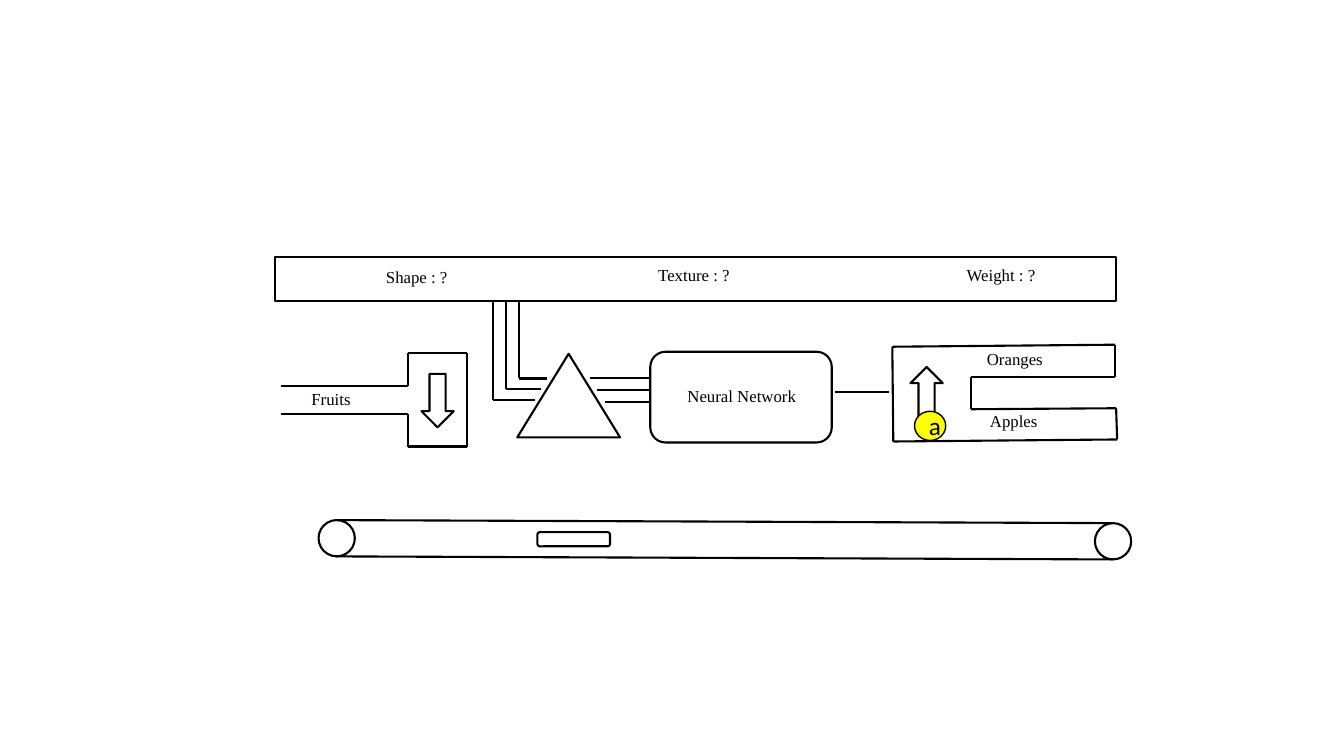
from dataclasses import dataclass

from lxml.etree import SubElement
from pptx import Presentation
from pptx.dml.color import RGBColor
from pptx.enum.shapes import MSO_CONNECTOR, MSO_SHAPE
from pptx.enum.text import MSO_ANCHOR, MSO_AUTO_SIZE, PP_ALIGN
from pptx.oxml.ns import qn
from pptx.shapes.autoshape import Shape
from pptx.slide import Slide
from pptx.text.text import TextFrame
from pptx.util import Inches, Length, Pt

CELLS_PER_INCH = 10
BLACK, WHITE, YELLOW = "000000", "FFFFFF", "FFFF00"
Point = tuple[float, float]


@dataclass(frozen=True)
class Block:
    kind: MSO_SHAPE
    column: float
    row: float
    columns: float
    rows: float
    rotation: float = 0
    fill: str = WHITE
    weight: float = 1.5


@dataclass(frozen=True)
class Label:
    text: str
    column: float
    row: float
    columns: float


FEATURE_BAR = Block(MSO_SHAPE.RECTANGLE, 27.3, 25.5, 83.4, 4.4)
SENSOR = Block(MSO_SHAPE.ISOSCELES_TRIANGLE, 51.3, 35.1, 10.2, 8.3)
NETWORK = Block(MSO_SHAPE.FLOWCHART_ALTERNATE_PROCESS, 64.5, 34.9, 18, 9)
MACHINE = [
    FEATURE_BAR,
    SENSOR,
    NETWORK,
    Block(MSO_SHAPE.DOWN_ARROW, 41.8, 37.1, 3.2, 5.3),
    Block(MSO_SHAPE.DOWN_ARROW, 90.3, 36.4, 3.2, 5.3, rotation=180),
    Block(MSO_SHAPE.OVAL, 31.6, 51.6, 3.6, 3.6),
    Block(MSO_SHAPE.OVAL, 108.6, 51.9, 3.6, 3.6),
    Block(MSO_SHAPE.ROUNDED_RECTANGLE, 53.3, 52.8, 7.2, 1.4),
]
APPLE = Block(MSO_SHAPE.OVAL, 90.7, 40.8, 3.1, 2.9, fill=YELLOW, weight=1)

LABELS = [
    Label("Shape : ?", 37.3, 26, 9.7),
    Label("Texture : ?", 64.3, 25.8, 9.7),
    Label("Weight : ?", 94.9, 25.8, 9.7),
    Label("Neural Network", 67.2, 37.8, 13.6),
    Label("Oranges", 96.9, 34.1, 13.6),
    Label("Apples", 97.2, 40.3, 13.6),
    Label("Fruits", 29.9, 38.1, 8.2),
]

INFEED = [(27.9, 38.3), (40.5, 38.3), (40.5, 35), (46.3, 35),
          (46.3, 44.3), (40.5, 44.3), (40.5, 41.1), (27.9, 41.1)]
SORTER = [(88.5, 34.4), (88.6, 43.8), (110.8, 43.6), (110.7, 40.5), (96.3, 40.6),
          (96.3, 37.4), (110.6, 37.4), (110.6, 34.2), (88.5, 34.4)]
NETWORK_OUTPUT = [(82.8, 38.9), (88.2, 38.9)]
BELT = [[(33.4, 51.6), (110.5, 51.9)], [(33.3, 55.2), (110.4, 55.5)]]


def cells(count: float) -> Length:
    """Convert a number of grid cells to a length."""
    return Inches(count / CELLS_PER_INCH)


def color(value: str) -> RGBColor:
    """Turn a hex string into a colour."""
    return RGBColor.from_string(value)


def sensor_wires() -> list[list[Point]]:
    """Return the three bent wires from the bar and the three into the network."""
    bar_bottom = FEATURE_BAR.row + FEATURE_BAR.rows
    wires: list[list[Point]] = []
    for index in range(3):
        column, row = 51.5 - 1.3 * index, 37.55 + 1.05 * index
        wires.append([(column, bar_bottom), (column, row), (54.3 - 0.6 * index, row)])
        row = 37.5 + 1.2 * index
        wires.append([(58.5 + 0.75 * index, row), (NETWORK.column, row)])
    return wires


def draw_block(page: Slide, block: Block) -> Shape:
    """Draw one outlined preset shape."""
    shape = page.shapes.add_shape(
        block.kind, cells(block.column), cells(block.row),
        cells(block.columns), cells(block.rows))
    shape.shadow.inherit = False
    shape.rotation = block.rotation
    shape.fill.solid()
    shape.fill.fore_color.rgb = color(block.fill)
    shape.line.color.rgb = color(BLACK)
    shape.line.width = Pt(block.weight)
    return shape


def draw_trace(page: Slide, points: list[Point]) -> None:
    """Join successive points with straight lines."""
    for start, end in zip(points, points[1:]):
        line = page.shapes.add_connector(
            MSO_CONNECTOR.STRAIGHT, *map(cells, start), *map(cells, end))
        line.line.color.rgb = color(BLACK)
        line.line.width = Pt(1.5)
        SubElement(line._element.spPr, qn("a:effectLst"))


def write(frame: TextFrame, text: str, font: str, size: float) -> None:
    """Write one black paragraph into a wrapping frame."""
    frame.word_wrap = True
    para = frame.paragraphs[0]
    para.text = text
    para.font.name = font
    para.font.size = Pt(size)
    para.font.color.rgb = color(BLACK)


def draw_label(page: Slide, label: Label) -> None:
    """Draw one text label."""
    box = page.shapes.add_textbox(
        cells(label.column), cells(label.row), cells(label.columns), cells(3))
    write(box.text_frame, label.text, "Times New Roman", 12)
    box.text_frame.auto_size = MSO_AUTO_SIZE.SHAPE_TO_FIT_TEXT


def draw_apple(page: Slide) -> None:
    """Draw the yellow apple with its letter."""
    frame = draw_block(page, APPLE).text_frame
    write(frame, "a", "Calibri", 18)
    frame.vertical_anchor = MSO_ANCHOR.MIDDLE
    frame.paragraphs[0].alignment = PP_ALIGN.CENTER


def main() -> None:
    """Build the fruit sorting slide."""
    deck = Presentation()
    deck.slide_width, deck.slide_height = Inches(13.33), Inches(7.5)
    page = deck.slides.add_slide(deck.slide_layouts.get_by_name("Blank"))
    for block in MACHINE:
        draw_block(page, block)
    for trace in [INFEED, SORTER, NETWORK_OUTPUT, *BELT, *sensor_wires()]:
        draw_trace(page, trace)
    for label in LABELS:
        draw_label(page, label)
    draw_apple(page)
    deck.save("out.pptx")


if __name__ == "__main__":
    main()
